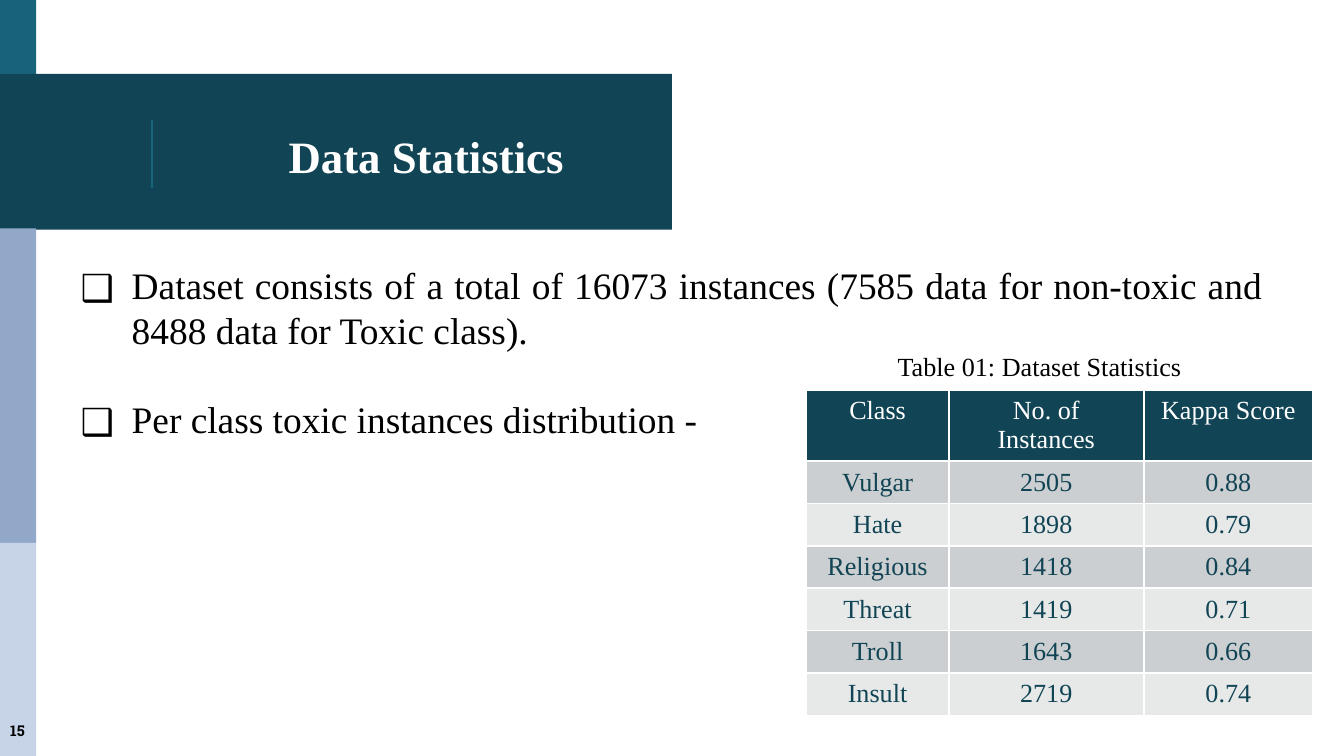
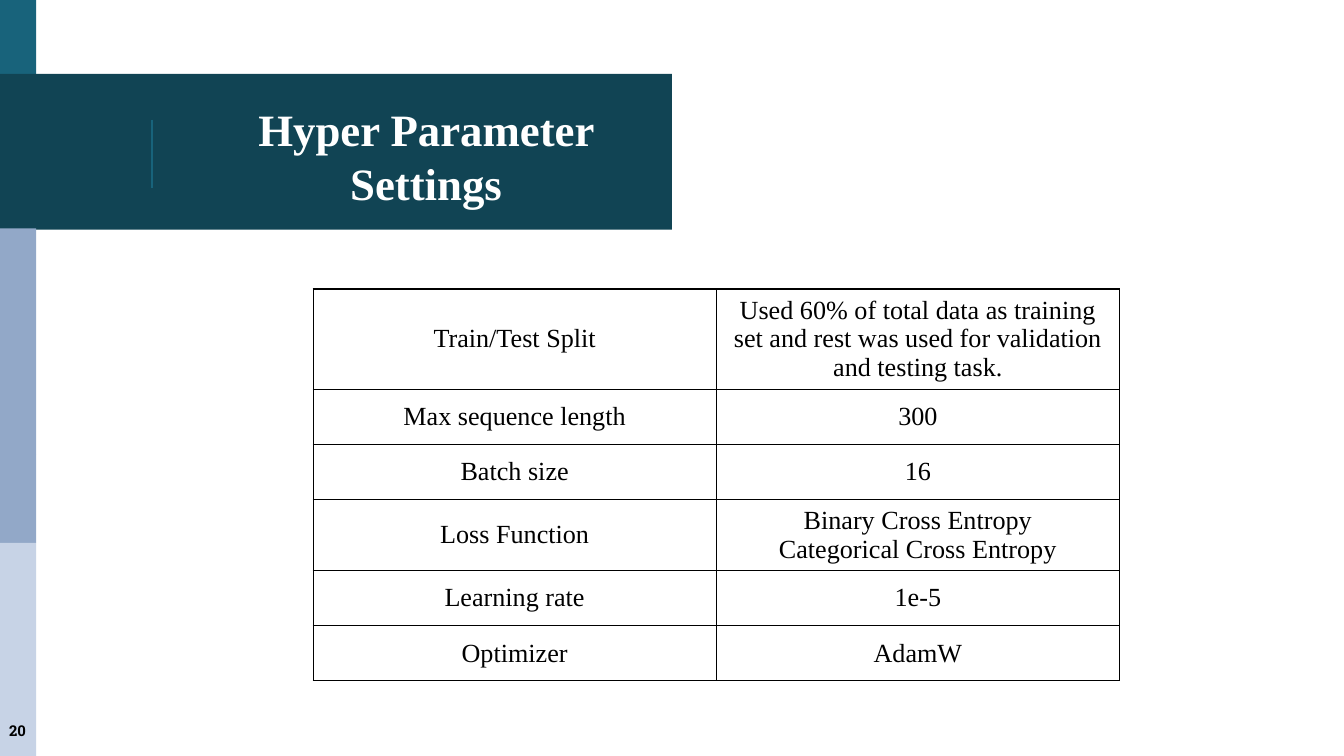
"""Build two slides: dataset statistics and hyper parameter settings."""
from lxml import etree
from pptx import Presentation
from pptx.dml.color import RGBColor
from pptx.enum import shapes, text
from pptx.oxml import ns
from pptx.util import Inches, Pt

TEAL = RGBColor(0x18, 0x63, 0x7B)
DARK_TEAL = RGBColor(0x11, 0x44, 0x54)
BLUE = RGBColor(0x92, 0xA8, 0xC8)
PALE_BLUE = RGBColor(0xC7, 0xD3, 0xE6)
GREY = RGBColor(0xCC, 0xCF, 0xD1)
PALE_GREY = RGBColor(0xE7, 0xE9, 0xE9)
WHITE = RGBColor(0xFF, 0xFF, 0xFF)
BLACK = RGBColor(0, 0, 0)
SERIF = "Times New Roman"
SLAB = "Roboto Slab"
CENTER = text.PP_ALIGN.CENTER

BANDS = [
    (0, 0, 0.27, 0.58, TEAL),
    (0, 0.55, 5, 1.16, DARK_TEAL),
    (0, 1.7, 0.27, 1.68, BLUE),
    (0, 3.38, 0.27, 0.66, BLUE),
    (0, 4.04, 0.27, 1.59, PALE_BLUE),
]
STATISTICS = [
    ("Class", "No. of Instances", "Kappa Score"),
    ("Vulgar", "2505", "0.88"),
    ("Hate", "1898", "0.79"),
    ("Religious", "1418", "0.84"),
    ("Threat", "1419", "0.71"),
    ("Troll", "1643", "0.66"),
    ("Insult", "2719", "0.74"),
]
SETTINGS = [
    ("Train/Test Split", "Used 60% of total data as training set and rest "
     "was used for validation and testing task."),
    ("Max sequence length", "300"),
    ("Batch size", "16"),
    ("Loss Function", "Binary Cross Entropy\nCategorical Cross Entropy"),
    ("Learning rate", "1e-5"),
    ("Optimizer", "AdamW"),
]


def add_xml(parent, tag, **attributes):
    """Append a DrawingML child element and return it."""
    return etree.SubElement(parent, ns.qn(tag), attributes)


def place(shape, left, top, width, height):
    """Move and size a shape, in inches."""
    shape.left, shape.top = Inches(left), Inches(top)
    shape.width, shape.height = Inches(width), Inches(height)


def write(frame, words, size=14, color=BLACK, font=SERIF, bold=False,
          align=CENTER):
    """Fill a text frame, one paragraph a line, in one format."""
    frame.text = words
    for para in frame.paragraphs:
        para.alignment = align
        para.space_before = Pt(0)
        for span in para.runs:
            span.font.name = font
            span.font.size = Pt(size)
            span.font.bold = bold
            span.font.color.rgb = color


def set_frame(frame, vertical, anchor=text.MSO_ANCHOR.TOP):
    """Give a text frame wrapping, fixed size and margins."""
    frame.word_wrap = True
    frame.auto_size = text.MSO_AUTO_SIZE.NONE
    frame.vertical_anchor = anchor
    frame.margin_left = frame.margin_right = Inches(0.1)
    frame.margin_top = frame.margin_bottom = Inches(vertical)


def decorate_master(deck, page):
    """Draw the side bands and title rule once, on the slide master."""
    parts = []
    for left, top, width, height, color in BANDS:
        band = page.shapes.add_shape(
            shapes.MSO_SHAPE.RECTANGLE, Inches(left), Inches(top),
            Inches(width), Inches(height))
        band.shadow.inherit = False
        band.fill.solid()
        band.fill.fore_color.rgb = color
        band.line.fill.background()
        parts.append(band)
    rule = page.shapes.add_connector(
        shapes.MSO_CONNECTOR.STRAIGHT, Inches(1.13), Inches(0.89),
        Inches(1.13), Inches(1.4))
    rule.line.color.rgb = TEAL
    rule.line.width = Pt(0.75)
    add_xml(rule.element.spPr, "a:effectLst")
    parts.append(rule)
    first = deck.slide_master.placeholders[0].element
    for number, part in enumerate(parts, 100):
        part.element[0][0].set("id", str(number))
        first.addprevious(part.element)


def add_page(deck, layout, title, number):
    """Add a slide with its title and slide number."""
    page = deck.slides.add_slide(deck.slide_layouts[layout])
    heading = page.shapes.title
    place(heading, 1.34, 0.71, 3.66, 0.9)
    set_frame(heading.text_frame, 0.1, text.MSO_ANCHOR.MIDDLE)
    write(heading.text_frame, title, size=24, color=WHITE, bold=True)
    add_label(page, number, (-0.06, 5.27, 0.38, 0.35), 0.1,
              size=8, font=SLAB, bold=True)
    return page


def add_label(page, words, area, vertical, **style):
    """Add a text box."""
    box = page.shapes.add_textbox(*map(Inches, area))
    set_frame(box.text_frame, vertical)
    write(box.text_frame, words, **style)


def add_list(body, items):
    """Fill the body placeholder with a checkbox list."""
    place(body, 0.5, 1.9, 9, 2.78)
    set_frame(body.text_frame, 0.05)
    write(body.text_frame, "\n".join(items), size=20,
          align=text.PP_ALIGN.JUSTIFY)
    for index, para in enumerate(body.text_frame.paragraphs):
        para.space_before = Pt(24 if index else 0)
        props = para._p.get_or_add_pPr()
        props.set("marL", str(Inches(0.38)))
        props.set("indent", str(-Inches(0.38)))
        add_xml(add_xml(props, "a:buClr"), "a:srgbClr", val=str(BLACK))
        add_xml(props, "a:buFont", typeface="Noto Sans Symbols")
        add_xml(props, "a:buChar", char="❑")


def set_borders(cell, color, width):
    """Draw the four borders of a cell, ahead of its fill."""
    props = cell._tc.get_or_add_tcPr()
    for index, side in enumerate(("a:lnL", "a:lnR", "a:lnT", "a:lnB")):
        line = add_xml(props, side, w=str(Pt(width)))
        add_xml(add_xml(line, "a:solidFill"), "a:srgbClr", val=str(color))
        props.insert(index, line)


def add_grid(page, rows, left, top, widths, heights, border, style,
             anchor=text.MSO_ANCHOR.TOP):
    """Add a table; style gives the fill and text colour of a row."""
    frame = page.shapes.add_table(
        len(rows), len(widths), Inches(left), Inches(top),
        Inches(sum(widths)), Inches(sum(heights)))
    table = frame.table
    table.first_row = table.horz_banding = False
    for column, width in zip(table.columns, widths):
        column.width = Inches(width)
    for index, (row, height) in enumerate(zip(table.rows, heights)):
        row.height = Inches(height)
        fill, color = style(index)
        for cell, words in zip(row.cells, rows[index]):
            write(cell.text_frame, words, color=color)
            cell.vertical_anchor = anchor
            if fill is None:
                cell.fill.background()
            else:
                cell.fill.solid()
                cell.fill.fore_color.rgb = fill
            set_borders(cell, *border)


def banded(index):
    """Return fill and text colour for a header and banded rows."""
    if index == 0:
        return DARK_TEAL, WHITE
    return (GREY if index % 2 else PALE_GREY), DARK_TEAL


def plain(index):
    """Return no fill and black text for every row."""
    return None, BLACK


def main():
    """Build and save the deck."""
    deck = Presentation()
    deck.slide_width, deck.slide_height = Inches(10), Inches(10 * 9 / 16)

    page = add_page(deck, 1, "Data Statistics", "15")
    decorate_master(deck, page)
    add_list(page.placeholders[1], [
        "Dataset consists of a total of 16073 instances (7585 data for "
        "non-toxic and 8488 data for Toxic class).",
        "Per class toxic instances distribution -",
    ])
    add_grid(page, STATISTICS, 6, 2.9, (1.06, 1.45, 1.26),
             [0.48] + [0.28] * 6, (WHITE, 1), banded)
    add_label(page, "Table 01: Dataset Statistics", (6.58, 2.56, 3.42, 0.34),
              0.05, align=text.PP_ALIGN.LEFT)

    page = add_page(deck, 5, "Hyper Parameter Settings", "20")
    add_grid(page, SETTINGS, 2.33, 2.15, (3, 3), [0.29] + [0.41] * 5,
             (BLACK, 0.75), plain, text.MSO_ANCHOR.MIDDLE)

    deck.save("out.pptx")


if __name__ == "__main__":
    main()
